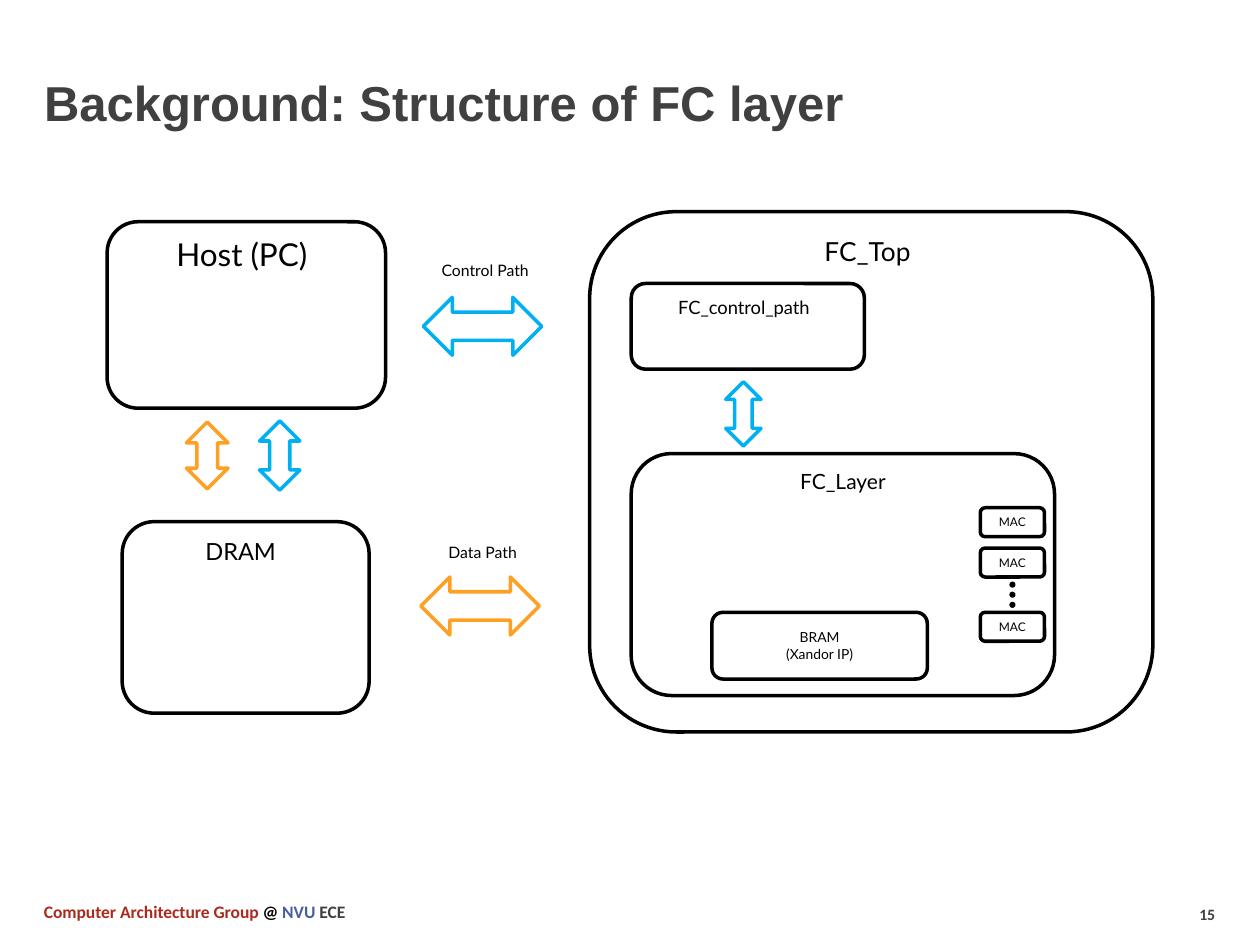
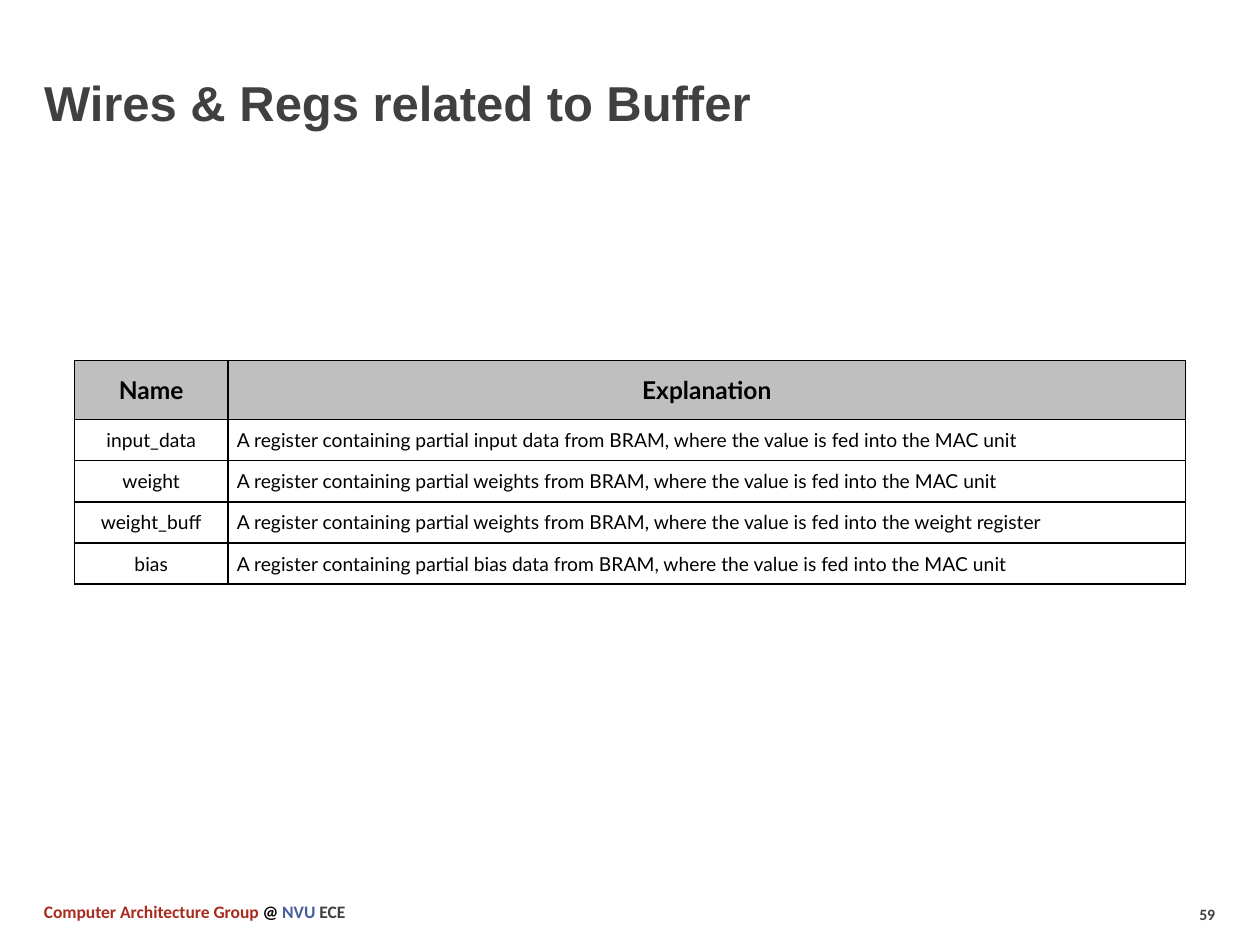
from dataclasses import dataclass

from lxml.etree import SubElement
from pptx import Presentation
from pptx.dml.color import RGBColor
from pptx.enum.shapes import MSO_SHAPE
from pptx.enum.text import MSO_ANCHOR, MSO_AUTO_SIZE, PP_ALIGN
from pptx.oxml.ns import qn
from pptx.util import Inches, Pt


@dataclass(frozen=True)
class Theme:
    ink: RGBColor = RGBColor.from_string("000000")
    heading: RGBColor = RGBColor.from_string("404040")
    group: RGBColor = RGBColor.from_string("AA2B1E")
    school: RGBColor = RGBColor.from_string("465E9C")
    control: RGBColor = RGBColor.from_string("00B0F0")
    data: RGBColor = RGBColor.from_string("FDA023")
    header_fill: RGBColor = RGBColor.from_string("BFBFBF")
    title_font: str = "Arial"
    footer_font: str = "Calibri"
    body_font: str = "Lato"
    title_size: float = 28
    footer_size: float = 10
    number_size: float = 9
    host_size: float = 18
    top_size: float = 15
    dram_size: float = 13.5
    layer_size: float = 12
    control_size: float = 10.5
    path_size: float = 9
    bram_size: float = 7.9
    mac_size: float = 6.8
    header_size: float = 14
    cell_size: float = 11
    outline: float = 2
    border: float = 1


theme = Theme()
deck = Presentation()
deck.slide_width, deck.slide_height = Inches(10), Inches(7.5)
COLUMN = deck.slide_width / 100
ROW = deck.slide_height / 75


def on_grid(left, top, width, height):
    """Turn columns and rows of the slide grid into slide lengths."""
    return (round(left * COLUMN), round(top * ROW),
            round(width * COLUMN), round(height * ROW))


def write(frame, lines, size, font=theme.body_font, bold=False, align=PP_ALIGN.CENTER):
    """Fill a text frame; each line is a list of (text, colour) runs."""
    for index, line in enumerate(lines):
        paragraph = frame.add_paragraph() if index else frame.paragraphs[0]
        paragraph.alignment = align
        for text, colour in line:
            run = paragraph.add_run()
            run.text = text
            run.font.name, run.font.size, run.font.bold = font, Pt(size), bold
            run.font.color.rgb = colour


# Title, footer and page number of both slides
footer_runs = [("Computer Architecture Group ", theme.group), ("@ ", theme.ink),
               ("NVU ", theme.school), ("ECE", theme.heading)]
slides = []
for heading, page in [("Background: Structure of FC layer", "15"),
                      ("Wires & Regs related to Buffer", "59")]:
    slide = deck.slides.add_slide(deck.slide_layouts[5])
    title = slide.shapes.title
    title.left, title.top, title.width, title.height = on_grid(2.5, 1.7, 92.5, 9.2)
    title.text_frame.vertical_anchor = MSO_ANCHOR.BOTTOM
    title.text_frame.auto_size = MSO_AUTO_SIZE.NONE
    write(title.text_frame, [[(heading, theme.heading)]], theme.title_size,
          theme.title_font, True, PP_ALIGN.LEFT)
    number = slide.shapes.add_textbox(*on_grid(94.2, 71.3, 6.7, 2.5)).text_frame
    footer = slide.shapes.add_textbox(*on_grid(2.5, 71, 50.4, 2.7)).text_frame
    for frame, runs, size in [(number, [(page, theme.heading)], theme.number_size),
                              (footer, footer_runs, theme.footer_size)]:
        frame.word_wrap = True
        write(frame, [runs], size, theme.footer_font, True, PP_ALIGN.LEFT)
    slides.append(slide)
structure, registers = slides

# Blocks of the FC structure, outer before inner
MAC_LEFT, MAC_WIDTH = 77.8, 5.1
blocks = [
    ((46.8, 16.8, 44.7, 41.3), [], 0),
    ((8.5, 17.6, 22.1, 14.8), [], 0),
    ((9.7, 41.4, 19.6, 15.2), [], 0),
    ((50.1, 36, 33.6, 19.2), [], 0),
    ((50.1, 22.5, 18.5, 6.8), [], 0),
    ((56.5, 48.6, 17.1, 5.3), ["BRAM", "(Xandor IP)"], theme.bram_size),
]
blocks += [((MAC_LEFT, top, MAC_WIDTH, 2.3), ["MAC"], theme.mac_size)
           for top in (40.3, 43.5, 48.6)]
for box, lines, size in blocks:
    block = structure.shapes.add_shape(MSO_SHAPE.ROUNDED_RECTANGLE, *on_grid(*box))
    block.shadow.inherit = False
    block.fill.background()
    block.line.color.rgb, block.line.width = theme.ink, Pt(theme.outline)
    block.text_frame.vertical_anchor = MSO_ANCHOR.MIDDLE
    write(block.text_frame, [[(line, theme.ink)] for line in lines], size)

# Dots standing for the remaining MAC units
DOT, DOT_STEP = 0.2, 0.8
for step in range(3):
    dot = structure.shapes.add_shape(MSO_SHAPE.OVAL, *on_grid(
        MAC_LEFT + (MAC_WIDTH - DOT) / 2, 46.3 + step * DOT_STEP, DOT, DOT))
    dot.shadow.inherit = False
    dot.fill.solid()
    dot.fill.fore_color.rgb = theme.ink
    dot.line.color.rgb, dot.line.width = theme.ink, Pt(theme.outline)

# Names of blocks and paths
for name, size, box in [
    ("FC_Top", theme.top_size, (51.4, 18.2, 34.9, 3.5)),
    ("Host (PC)", theme.host_size, (10.7, 18.2, 17, 4)),
    ("DRAM", theme.dram_size, (11.6, 42.1, 15, 3.3)),
    ("FC_Layer", theme.layer_size, (62, 36.7, 9.8, 3)),
    ("FC_control_path", theme.control_size, (51.5, 23, 15.1, 2.8)),
    ("Control Path", theme.path_size, (31.4, 20.2, 14.2, 2.5)),
    ("Data Path", theme.path_size, (31.2, 42.6, 14.2, 2.5)),
]:
    label = structure.shapes.add_textbox(*on_grid(*box)).text_frame
    label.word_wrap = True
    write(label, [[(name, theme.ink)]], size)

# Arrows of the control and data paths
for direction, colour, box in [
    (MSO_SHAPE.LEFT_RIGHT_ARROW, theme.control, (33.6, 23.6, 9.4, 4.6)),
    (MSO_SHAPE.LEFT_RIGHT_ARROW, theme.data, (33.4, 45.8, 9.4, 4.6)),
    (MSO_SHAPE.UP_DOWN_ARROW, theme.control, (57.6, 30.3, 2.8, 5.1)),
    (MSO_SHAPE.UP_DOWN_ARROW, theme.control, (20.6, 33.4, 3.2, 5.5)),
    (MSO_SHAPE.UP_DOWN_ARROW, theme.data, (14.8, 33.5, 3.3, 5.3)),
]:
    arrow = structure.shapes.add_shape(direction, *on_grid(*box))
    arrow.shadow.inherit = False
    arrow.adjustments[0], arrow.adjustments[1] = 0.49, 0.5
    arrow.fill.background()
    arrow.line.color.rgb, arrow.line.width = colour, Pt(theme.outline)

# Table of buffer registers
register_rows = [("Name", "Explanation")] + [
    (name, f"A register containing partial {content} from BRAM, "
           f"where the value is fed into the {target}")
    for name, content, target in [
        ("input_data", "input data", "MAC unit"),
        ("weight", "weights", "MAC unit"),
        ("weight_buff", "weights", "weight register"),
        ("bias", "bias data", "MAC unit"),
    ]
]
table = registers.shapes.add_table(
    len(register_rows), 2, *on_grid(5.9, 28.6, 88.2, 17.9)).table
table.horz_banding = False
for column, share in zip(table.columns, (12.2, 76)):
    column.width = round(share * COLUMN)
for row_index, texts in enumerate(register_rows):
    is_header = row_index == 0
    table.rows[row_index].height = round((4.7 if is_header else 3.27) * ROW)
    for column_index, text in enumerate(texts):
        cell = table.cell(row_index, column_index)
        cell.vertical_anchor = MSO_ANCHOR.MIDDLE
        cell.margin_left = cell.margin_right = Inches(0.07)
        cell.margin_top = cell.margin_bottom = Inches(0.04)
        centred = is_header or column_index == 0
        write(cell.text_frame, [[(text, theme.ink)]],
              theme.header_size if is_header else theme.cell_size, bold=is_header,
              align=PP_ALIGN.CENTER if centred else PP_ALIGN.LEFT)
        properties = cell._tc.get_or_add_tcPr()
        for edge in ("a:lnL", "a:lnR", "a:lnT", "a:lnB"):
            border = SubElement(properties, qn(edge), w=str(Pt(theme.border)))
            border_fill = SubElement(border, qn("a:solidFill"))
            SubElement(border_fill, qn("a:srgbClr"), val=str(theme.ink))
        if is_header:
            cell.fill.solid()
            cell.fill.fore_color.rgb = theme.header_fill
        else:
            cell.fill.background()

deck.save("out.pptx")
